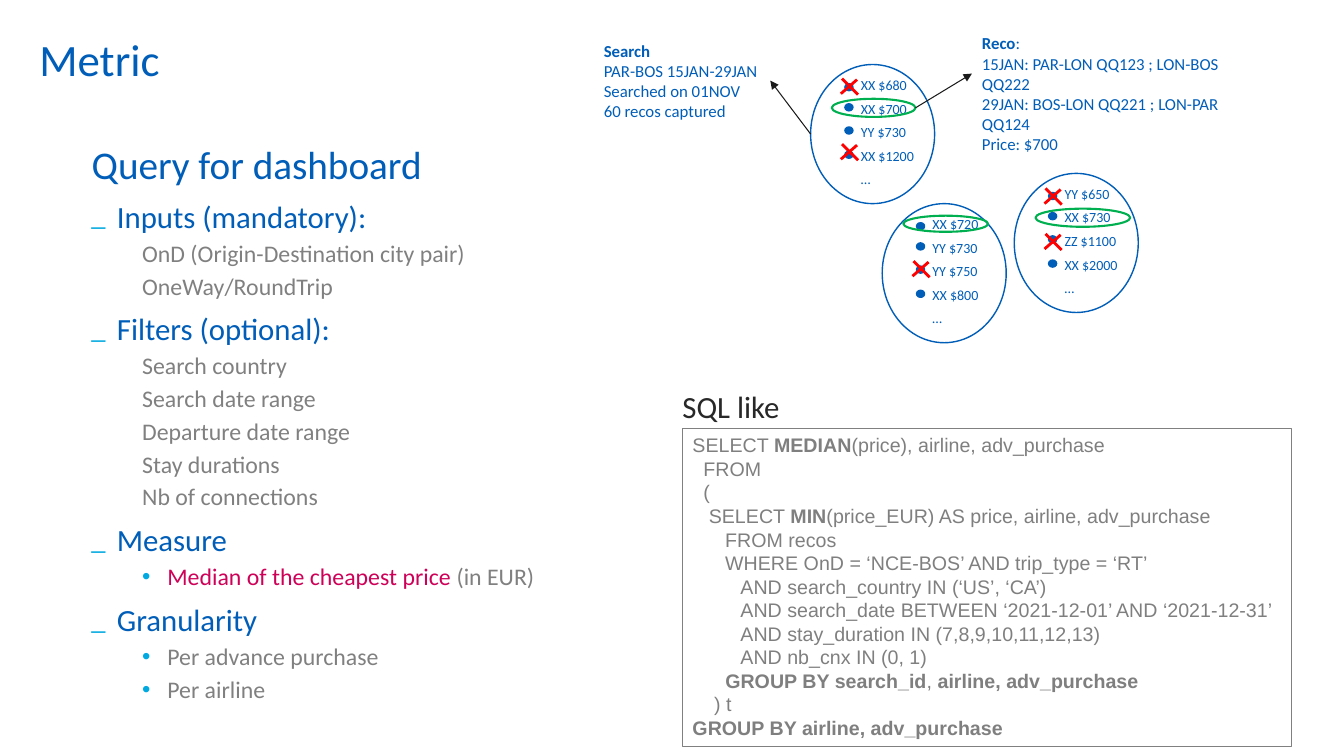
from copy import deepcopy

from lxml import etree
from pptx import Presentation
from pptx.dml.color import RGBColor
from pptx.enum import shapes, text
from pptx.oxml.ns import qn
from pptx.util import Inches, Pt

BLUE = RGBColor(0x00, 0x5E, 0xB8)
CYAN = RGBColor(0x00, 0xA9, 0xE0)
PINK = RGBColor(0xCE, 0x00, 0x58)
GREEN = RGBColor(0x00, 0xB0, 0x50)
RED = RGBColor(0xFF, 0x00, 0x00)
BLACK = RGBColor(0x1A, 0x1A, 0x1A)
DARK = RGBColor(0x28, 0x28, 0x28)
GREY = RGBColor(0x80, 0x80, 0x80)
CODE_GREY = RGBColor(0x7F, 0x7F, 0x7F)

DOT_TOPS = (0.19, 0.39, 0.62, 0.86)
# left, top, prices, tops of the crosses, (top, width, height) of the ring,
# label width; the inner tops are counted from the top of the bubble
BUBBLES = [
    (8.04, 0.64, ["XX $680", "XX $700", "YY $730", "XX $1200", "…"],
     (0.14, 0.79), (0.34, 0.83, 0.18), 0.74),
    (8.75, 2.02, ["XX $720", "YY $730", "YY $750", "XX $800", "…"],
     (0.57,), (0.12, 0.84, 0.16), 0.67),
    (10.06, 1.72, ["YY $650", "XX $730", "ZZ $1100", "XX $2000", "…"],
     (0.15, 0.6), (0.35, 0.94, 0.18), 0.74),
]

QUERY = [
    ("Inputs (mandatory):", None,
     ["OnD (Origin-Destination city pair)", "OneWay/RoundTrip"]),
    ("Filters (optional):", None,
     ["Search country", "Search date range", "Departure date range",
      "Stay durations", "Nb of connections"]),
    ("Measure", "•", [("Median of the cheapest price ", "(in EUR)")]),
    ("Granularity", "•", ["Per advance purchase", "Per airline"]),
]

# each line is a list of pieces, every second piece is bold
SQL = [
    ["SELECT ", "MEDIAN", "(price), airline, adv_purchase"],
    ["  FROM"],
    ["  ("],
    ["   SELECT ", "MIN", "(price_EUR) AS price, airline, adv_purchase"],
    ["      FROM recos\n      WHERE OnD = ‘NCE-BOS’ AND trip_type = ‘RT’"],
    ["         AND search_country IN (‘US’, ‘CA’)"],
    ["         AND search_date BETWEEN ‘2021-12-01’ AND ‘2021-12-31’"],
    ["         AND stay_duration IN (7,8,9,10,11,12,13)"],
    ["         AND nb_cnx IN (0, 1)"],
    ["      ", "GROUP BY search_id", ", ", "airline, adv_purchase"],
    ["    ) t"],
    ["", "GROUP BY airline, adv_purchase"],
]


def box(*lengths):
    return [Inches(n) for n in lengths]


def add_run(p, content, size, color, bold=False, font="Calibri"):
    """Add text to a paragraph, with a line break for every newline."""
    for i, line in enumerate(content.split("\n")):
        if i:
            p.add_line_break()
            p._p[-1].append(deepcopy(r._r.rPr))
        if line:
            r = p.add_run()
            r.text = line
            r.font.name, r.font.size, r.font.bold = font, Pt(size), bold
            r.font.color.rgb = color


def next_paragraph(tf, before=0):
    """Return the empty first paragraph, or a new one with space before."""
    if not tf.paragraphs[0].runs:
        p = tf.paragraphs[0]
        p.space_before = Pt(0)
    else:
        p = tf.add_paragraph()
        p.space_before = Pt(before)
    p.alignment = text.PP_ALIGN.LEFT
    return p


def fit_frame(sp):
    tf = sp.text_frame
    tf.word_wrap = False
    tf.auto_size = text.MSO_AUTO_SIZE.SHAPE_TO_FIT_TEXT
    tf.vertical_anchor = text.MSO_ANCHOR.TOP
    return tf


def add_label(s, place, size, color, *paragraphs):
    """Text box; a paragraph is a list of pieces, (content, bold)."""
    tf = fit_frame(s.shapes.add_textbox(*box(*place)))
    for pieces in paragraphs:
        p = next_paragraph(tf, 4.8)
        for content, bold in pieces:
            add_run(p, content, size, color, bold)


def add_outline(s, kind, place, color, width, filled=False):
    sp = s.shapes.add_shape(kind, *box(*place))
    sp.shadow.inherit = False
    if filled:
        sp.fill.solid()
        sp.fill.fore_color.rgb = color
    else:
        sp.fill.background()
    sp.line.color.rgb = color
    sp.line.width = Pt(width)
    return sp


def add_line(parent, ends, color, width, arrow=False):
    c = parent.shapes.add_connector(shapes.MSO_CONNECTOR.STRAIGHT, *box(*ends))
    c.line.color.rgb = color
    c.line.width = Pt(width)
    if arrow:
        etree.SubElement(c.line._get_or_add_ln(), qn("a:tailEnd"), type="triangle")
    etree.SubElement(c._element.spPr, qn("a:effectLst"))


def add_cross(s, x, y):
    group = s.shapes.add_group_shape()
    add_line(group, (x + 0.01, y, x + 0.17, y + 0.16), RED, 2)
    add_line(group, (x, y + 0.15, x + 0.16, y + 0.01), RED, 2)


def add_bubble(s, x, y, prices, crosses, ring, label_width):
    oval = shapes.MSO_SHAPE.OVAL
    for top in DOT_TOPS:
        add_outline(s, oval, (x + 0.34, y + top, 0.08, 0.07), BLUE, 1, filled=True)
    add_outline(s, oval, (x, y, 1.23, 1.38), BLUE, 1)
    add_label(s, (x + 0.4, y + 0.07, label_width, 1.22), 10, BLUE,
              *[[(price, False)] for price in prices])
    for top in crosses:
        add_cross(s, x + 0.3, y + top)
    top, width, height = ring
    add_outline(s, oval, (x + 0.21, y + top, width, height), GREEN, 1.5)


def set_bullet(p, indent, hanging=0, char=None, percent=100):
    pPr = p._p.get_or_add_pPr()
    pPr.set("marL", str(Inches(indent)))
    pPr.set("indent", str(-Inches(hanging)))
    if char is None:
        etree.SubElement(pPr, qn("a:buNone"))
        return
    color = etree.SubElement(pPr, qn("a:buClr"))
    etree.SubElement(color, qn("a:srgbClr"), val=str(CYAN))
    etree.SubElement(pPr, qn("a:buSzPct"), val=str(percent * 1000))
    etree.SubElement(pPr, qn("a:buFont"), typeface="Arial")
    etree.SubElement(pPr, qn("a:buChar"), char=char)


def place_placeholder(sp, place):
    sp.left, sp.top, sp.width, sp.height = box(*place)
    tf = sp.text_frame
    tf.word_wrap = True
    tf.auto_size = text.MSO_AUTO_SIZE.NONE
    tf.vertical_anchor = text.MSO_ANCHOR.TOP
    return tf


def fill_title(s):
    tf = place_placeholder(s.shapes.title, (0.29, 0.31, 12.31, 0.53))
    tf.margin_top = 0
    add_run(next_paragraph(tf), "Metric", 32, BLUE)


def fill_query(s):
    tf = place_placeholder(s.placeholders[1], (0.81, 1.39, 6.04, 5.8))
    p = next_paragraph(tf)
    set_bullet(p, 0)
    add_run(p, "Query for dashboard", 28, BLUE)
    for heading, char, items in QUERY:
        p = next_paragraph(tf, 10)
        set_bullet(p, 0.25, 0.25, "_", 80)
        add_run(p, heading, 22, BLUE)
        for item in items:
            p = next_paragraph(tf, 5)
            p.level = 1
            set_bullet(p, *((0.75, 0.25, char) if char else (0.5,)))
            marked, plain = item if isinstance(item, tuple) else ("", item)
            add_run(p, marked, 17, PINK)
            add_run(p, plain, 17, GREY)
    for p in tf.paragraphs:
        p.line_spacing = 0.9


def add_sql(s):
    sp = add_outline(s, shapes.MSO_SHAPE.RECTANGLE, (6.77, 4.25, 6.04, 3.16), GREY, 0.75)
    tf = fit_frame(sp)
    for pieces in SQL:
        p = next_paragraph(tf)
        for i, piece in enumerate(pieces):
            add_run(p, piece, 14, CODE_GREY, i % 2 == 1, "Arial")
    add_label(s, (6.67, 3.8, 1.18, 0.47), 22, DARK, [("SQL like", False)])


def main():
    prs = Presentation()
    prs.slide_width, prs.slide_height = box(13.33, 7.5)
    s = prs.slides.add_slide(prs.slide_layouts[1])
    fill_title(s)
    fill_query(s)
    for bubble in BUBBLES:
        add_bubble(s, *bubble)
    add_line(s, (9.08, 1.07, 9.64, 0.73), BLACK, 0.75, arrow=True)
    add_label(s, (9.64, 0.28, 3.03, 0.91), 12, BLUE, [
        ("Reco", True),
        (":\n15JAN: PAR-LON QQ123 ; LON-BOS QQ222\n"
         "29JAN: BOS-LON QQ221 ; LON-PAR QQ124\nPrice: $700", False)])
    add_line(s, (8.04, 1.33, 7.64, 0.8), BLACK, 0.75, arrow=True)
    add_label(s, (5.89, 0.35, 1.75, 0.91), 12, BLUE, [
        ("Search\n", True),
        ("PAR-BOS 15JAN-29JAN\nSearched on 01NOV\n60 recos captured", False)])
    add_sql(s)
    prs.save("out.pptx")


if __name__ == "__main__":
    main()
